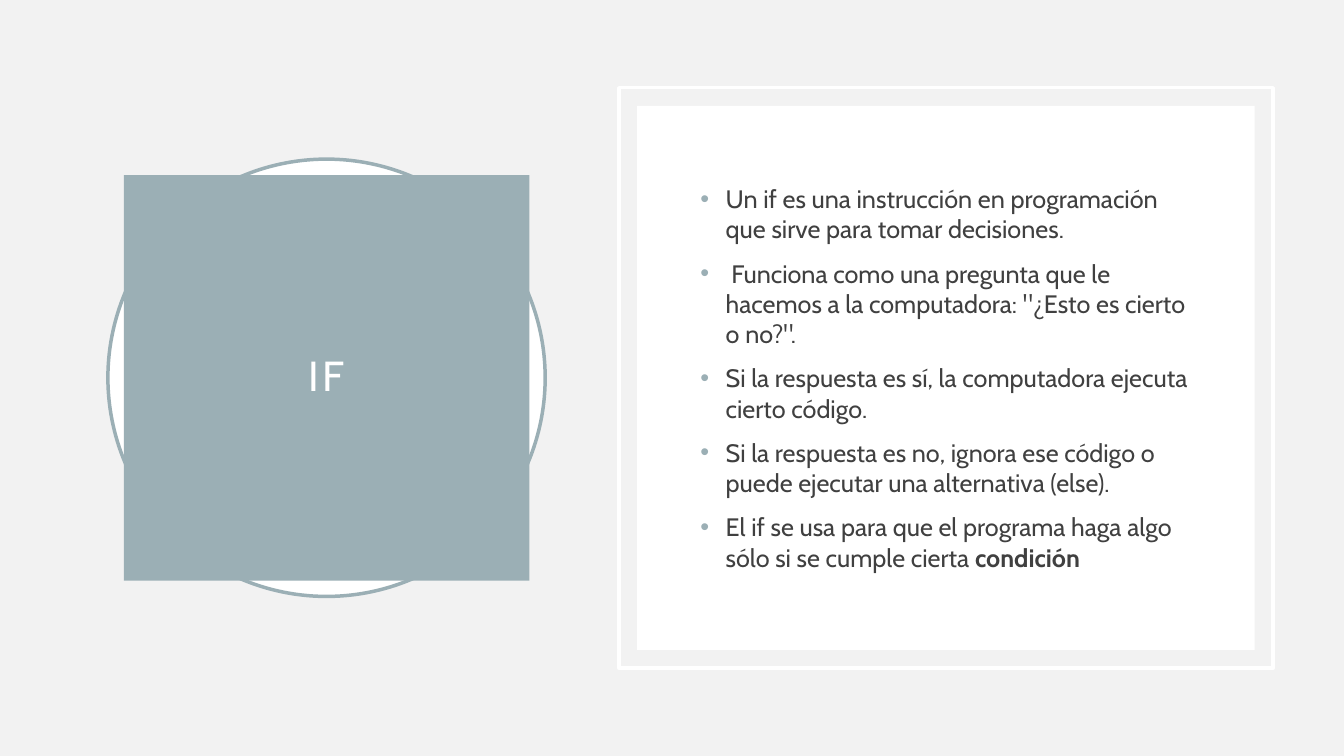
import pptx
import pptx.dml.color
import pptx.enum.shapes
import pptx.enum.text
import pptx.oxml.ns
import pptx.util
from lxml import etree

Cm = pptx.util.Cm
Pt = pptx.util.Pt
RGBColor = pptx.dml.color.RGBColor
Shape = pptx.enum.shapes.MSO_SHAPE
Align = pptx.enum.text.PP_ALIGN
qn = pptx.oxml.ns.qn

TITLE = "IF"
BULLETS = [
    [("Un if es una instrucción en programación que sirve para tomar decisiones.", False)],
    [(' Funciona como una pregunta que le hacemos a la computadora: "¿Esto es cierto o no?".', False)],
    [("Si la respuesta es sí, la computadora ejecuta cierto código.", False)],
    [("Si la respuesta es no, ignora ese código o puede ejecutar una alternativa (else).", False)],
    [("El if se usa para que el programa haga algo sólo si se cumple cierta ", False), ("condición", True)],
]

FONT = "Cabin"
BACKGROUND = RGBColor(0xF2, 0xF2, 0xF2)
WHITE = RGBColor(0xFF, 0xFF, 0xFF)
ACCENT = RGBColor(0x9B, 0xAF, 0xB5)
DARK = RGBColor(0x40, 0x40, 0x40)

CIRCLE = (2.72, 4.01, 11.02, 11.02)
PANEL_FRAME = (15.6, 2.21, 16.48, 14.63)
BODY = (17.4, 4.01, 12.93, 11.02)
TITLE_INSET = 0.4
PANEL_INSET = 0.46


def inset(box, margin):
    """Shrink a box by the same margin on every side."""
    left, top, width, height = box
    return left + margin, top + margin, width - 2 * margin, height - 2 * margin


def add_shape(slide, kind, box, fill=None, line=None):
    """Add a flat shape with an optional fill and outline."""
    shape = slide.shapes.add_shape(kind, *map(Cm, box))
    shape.shadow.inherit = False
    if fill is None:
        shape.fill.background()
    else:
        shape.fill.solid()
        shape.fill.fore_color.rgb = fill
    if line is None:
        shape.line.fill.background()
    else:
        shape.line.color.rgb = line
        shape.line.width = Pt(2.5)


def format_font(paragraph, size, color):
    """Set the shared font on a paragraph."""
    paragraph.font.name = FONT
    paragraph.font.size = Pt(size)
    paragraph.font.color.rgb = color


def place_title(slide):
    """Fill and place the title in front of the circle."""
    title = slide.shapes.title
    title.left, title.top, title.width, title.height = map(Cm, inset(CIRCLE, TITLE_INSET))
    title.fill.solid()
    title.fill.fore_color.rgb = ACCENT
    frame = title.text_frame
    frame.text = TITLE
    frame.auto_size = pptx.enum.text.MSO_AUTO_SIZE.NONE
    frame.vertical_anchor = pptx.enum.text.MSO_ANCHOR.MIDDLE
    frame.margin_left = frame.margin_right = frame.margin_top = frame.margin_bottom = Cm(0.5)
    paragraph = frame.paragraphs[0]
    paragraph.alignment = Align.CENTER
    paragraph.line_spacing = 0.9
    format_font(paragraph, 30, WHITE)
    paragraph.runs[0].font._element.set("spc", "200")
    slide.shapes._spTree.append(title._element)


def add_bullet(paragraph):
    """Give a paragraph a hanging accent bullet."""
    properties = paragraph._p.get_or_add_pPr()
    properties.set("marL", str(Cm(0.64)))
    properties.set("indent", str(-Cm(0.64)))
    color = etree.Element(qn("a:buClr"))
    etree.SubElement(color, qn("a:srgbClr"), val=str(ACCENT))
    font = etree.Element(qn("a:buFont"), typeface="Arial")
    character = etree.Element(qn("a:buChar"), char="•")
    position = len(properties.findall(qn("a:spcBef")))
    for offset, element in enumerate((color, font, character)):
        properties.insert(position + offset, element)


def add_body(slide):
    """Add the bulleted explanation."""
    frame = slide.shapes.add_textbox(*map(Cm, BODY)).text_frame
    frame.word_wrap = True
    frame.vertical_anchor = pptx.enum.text.MSO_ANCHOR.MIDDLE
    for index, pieces in enumerate(BULLETS):
        paragraph = frame.add_paragraph() if index else frame.paragraphs[0]
        paragraph.space_before = Pt(10)
        add_bullet(paragraph)
        format_font(paragraph, 18, DARK)
        for text, bold in pieces:
            run = paragraph.add_run()
            run.text = text
            if bold:
                run.font.bold = True


def main():
    """Build and save the slide."""
    presentation = pptx.Presentation()
    presentation.slide_width = Cm(33.87)
    presentation.slide_height = Cm(19.05)
    slide = presentation.slides.add_slide(presentation.slide_layouts.get_by_name("Title Only"))
    slide.background.fill.solid()
    slide.background.fill.fore_color.rgb = BACKGROUND
    add_shape(slide, Shape.OVAL, CIRCLE, fill=WHITE, line=ACCENT)
    place_title(slide)
    add_shape(slide, Shape.RECTANGLE, PANEL_FRAME, line=WHITE)
    add_shape(slide, Shape.RECTANGLE, inset(PANEL_FRAME, PANEL_INSET), fill=WHITE)
    add_body(slide)
    presentation.save("out.pptx")


if __name__ == "__main__":
    main()
